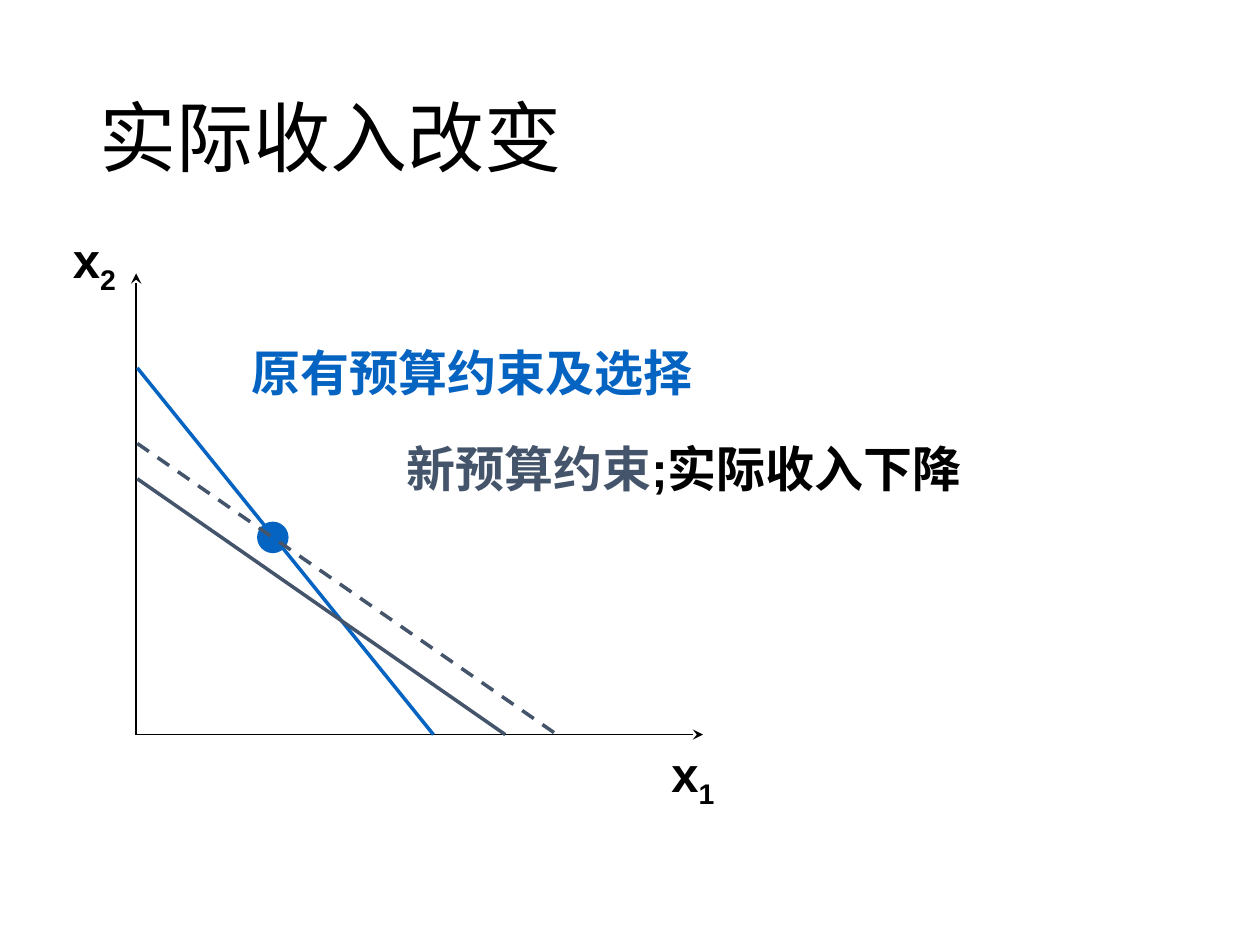
import pptx
import pptx.util
from pptx.dml.color import RGBColor
from pptx.enum.dml import MSO_LINE
from pptx.enum.shapes import MSO_CONNECTOR, MSO_SHAPE
from pptx.enum.text import MSO_ANCHOR, MSO_AUTO_SIZE
from pptx.oxml.ns import qn
from pptx.util import Inches
from lxml import etree

BLACK = RGBColor(0x00, 0x00, 0x00)
BLUE = RGBColor(0x05, 0x63, 0xC1)
SLATE = RGBColor(0x44, 0x54, 0x6A)

LABEL = {"name": "Arial", "size": pptx.util.Pt(28), "bold": True}
TITLE = {"name": "Calibri", "size": pptx.util.Pt(44), "bold": False}

X0, Y0 = 1.08, 5.83  # origin of the axes
START = 1.09  # left end of the budget lines


class Diagram:
    def __init__(self, slide):
        self.s = slide

    def text(self, box, runs, style=LABEL, wrap=True, **frame):
        """Add a text box; each run is (text, colour, baseline in 1/1000 %)."""
        tf = self.s.shapes.add_textbox(*map(Inches, box)).text_frame
        settings = {"word_wrap": wrap, "auto_size": MSO_AUTO_SIZE.NONE, **frame}
        for name, value in settings.items():
            setattr(tf, name, value)
        p = tf.paragraphs[0]
        for text, colour, baseline in runs:
            r = p.add_run()
            r.text = text
            for name, value in style.items():
                setattr(r.font, name, value)
            r.font.color.rgb = colour
            if baseline:
                r._r.get_or_add_rPr().set("baseline", str(baseline))
        return p

    def line(self, start, end, colour, width=2, dash=None, arrow=False):
        sp = self.s.shapes.add_connector(
            MSO_CONNECTOR.STRAIGHT, *map(Inches, (*start, *end)))
        sp.line.color.rgb = colour
        sp.line.width = pptx.util.Pt(width)
        if dash:
            sp.line.dash_style = dash
        if arrow:
            ln = sp.line._get_or_add_ln()
            etree.SubElement(ln, qn("a:tailEnd")).set("type", "stealth")
        etree.SubElement(sp._element.spPr, qn("a:effectLst"))

    def dot(self, left, top, size, colour):
        sp = self.s.shapes.add_shape(
            MSO_SHAPE.OVAL, *map(Inches, (left, top, size, size)))
        sp.shadow.inherit = False
        sp.fill.solid()
        sp.fill.fore_color.rgb = colour
        sp.line.fill.background()

    def axis(self, end, label_at, index):
        self.line((X0, Y0), end, BLACK, width=1, arrow=True)
        self.text((*label_at, 0.57, 0.57),
                  [("x", BLACK, 0), (index, BLACK, -25000)],
                  wrap=False, auto_size=MSO_AUTO_SIZE.SHAPE_TO_FIT_TEXT)

    def budget(self, top, right, colour, dash=None):
        self.line((START, top), (right, Y0), colour, dash=dash)


def main():
    prs = pptx.Presentation()
    prs.slide_width, prs.slide_height = Inches(10), Inches(7.5)
    d = Diagram(prs.slides.add_slide(prs.slide_layouts[6]))

    p = d.text((0.69, 0.4, 8.62, 1.45), [("实际收入改变", BLACK, 0)], TITLE,
               vertical_anchor=MSO_ANCHOR.MIDDLE)
    p.line_spacing = 0.9

    d.axis((X0, 2.17), (0.48, 1.77), "2")
    d.axis((5.58, Y0), (5.23, 5.85), "1")

    d.budget(2.92, 3.44, BLUE)
    d.dot(2.04, 4.14, 0.25, BLUE)
    d.text((1.9, 2.67, 3.7, 0.57), [("原有预算约束及选择", BLUE, 0)], wrap=False)

    d.budget(3.8, 4.01, SLATE)
    d.text((3.13, 3.43, 4.67, 0.57),
           [("新预算约束", SLATE, 0), (";实际收入下降", BLACK, 0)])
    d.budget(3.52, 4.42, SLATE, MSO_LINE.DASH)

    prs.save("out.pptx")


if __name__ == "__main__":
    main()
